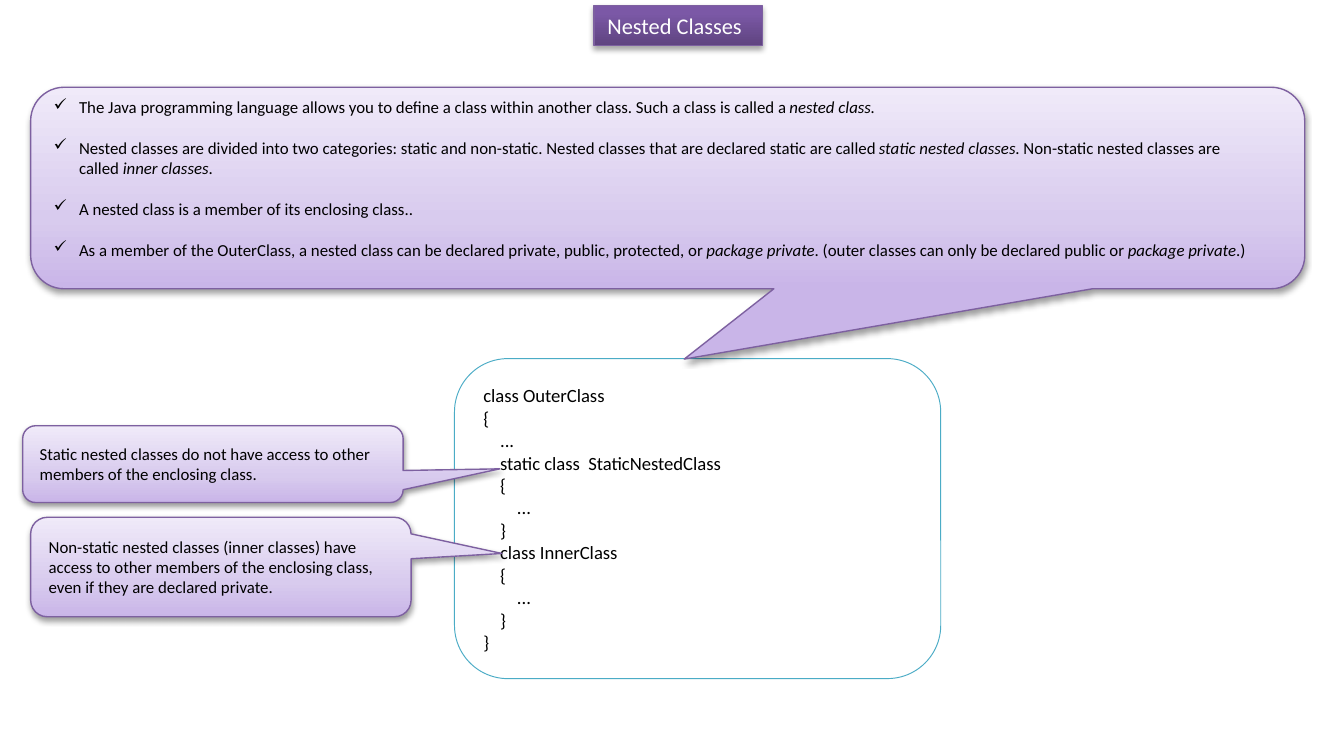
import dataclasses

import lxml.etree
import pptx
import pptx.dml.color
import pptx.enum.shapes
import pptx.enum.text
import pptx.oxml.ns
import pptx.util
from pptx.util import Cm

SHAPES = pptx.enum.shapes.MSO_SHAPE
ANCHOR = pptx.enum.text.MSO_ANCHOR


@dataclasses.dataclass(frozen=True)
class Theme:
    font: str = "Calibri"
    title_size: int = 12
    code_size: int = 10
    note_size: int = 9
    black: str = "000000"
    white: str = "FFFFFF"
    purple: str = "7D60A0"
    teal: str = "4BACC6"
    title_stops: tuple = ((0, "5F4480"), (80, "7B58A6"), (100, "7C57A8"))
    note_stops: tuple = ((0, "C9B5E8"), (35, "D8CBEE"), (100, "F0EAF9"))


THEME = Theme()

POINTS = [
    "The Java programming language allows you to define a class within another class. "
    "Such a class is called a *nested class.*",
    "Nested classes are divided into two categories: static and non-static. Nested classes "
    "that are declared static are called *static nested classes*. Non-static nested classes "
    "are called *inner classes*.",
    "A nested class is a member of its enclosing class..",
    "As a member of the OuterClass, a nested class can be declared private, public, protected, "
    "or *package private*. (outer classes can only be declared public or *package private*.)",
]

CODE = """class OuterClass
{
    ...
    static class  StaticNestedClass
    {
        ...
    }
    class InnerClass
    {
        ...
    }
}"""

CALLOUTS = [
    ((0.58, 9.78, 7.19, 1.88), (0.739, -0.136),
     "Non-static nested classes (inner classes) have access to other members of the "
     "enclosing class, even if they are declared private."),
    ((0.43, 8.05, 7.19, 1.45), (0.754, 0.062),
     "Static nested classes do not have access to other members of the enclosing class."),
]


def rgb(color):
    return pptx.dml.color.RGBColor.from_string(color)


def set_values(target, values):
    for name, value in values.items():
        setattr(target, name, value)


def add_element(parent, tag, **attributes):
    return lxml.etree.SubElement(parent, pptx.oxml.ns.qn(tag), attributes)


def add_box(slide, kind, box, line, width):
    shape = slide.shapes.add_shape(kind, *map(Cm, box))
    shape.shadow.inherit = False
    shape.line.color.rgb = rgb(line)
    shape.line.width = pptx.util.Pt(width)
    return shape


def fill_gradient(shape, stops):
    shape.fill.gradient()
    shape.fill.gradient_angle = 90
    stop_list = shape.element.spPr.find(".//" + pptx.oxml.ns.qn("a:gsLst"))
    stop_list.clear()
    for position, color in stops:
        stop = add_element(stop_list, "a:gs", pos=str(position * 1000))
        add_element(stop, "a:srgbClr", val=color)


def add_shadow(shape, distance, opacity):
    effects = shape.element.spPr.find(pptx.oxml.ns.qn("a:effectLst"))
    shadow = add_element(
        effects, "a:outerShdw", blurRad=str(pptx.util.Pt(3.1)),
        dist=str(pptx.util.Pt(distance)), dir="5400000", rotWithShape="0")
    color = add_element(shadow, "a:srgbClr", val=THEME.black)
    add_element(color, "a:alpha", val=str(opacity * 1000))


def add_bullet(paragraph):
    properties = paragraph._p.get_or_add_pPr()
    indent = Cm(0.48)
    properties.set("marL", str(indent))
    properties.set("indent", str(-indent))
    add_element(properties, "a:buChar", char="✓")


def write_text(shape, lines, size, color=THEME.black, bulleted=False, gap=0, **frame_values):
    frame = shape.text_frame
    set_values(frame, {"word_wrap": True, "vertical_anchor": ANCHOR.MIDDLE, **frame_values})
    for index, line in enumerate(lines):
        paragraph = frame.add_paragraph() if index else frame.paragraphs[0]
        set_values(paragraph, {
            "alignment": pptx.enum.text.PP_ALIGN.LEFT,
            "space_before": pptx.util.Pt(gap if index else 0),
        })
        if bulleted:
            add_bullet(paragraph)
        for part, text in enumerate(line.split("*")):
            if text:
                run = paragraph.add_run()
                run.text = text
                set_values(run.font, {
                    "name": THEME.font,
                    "size": pptx.util.Pt(size),
                    "italic": part % 2 == 1,
                })
                run.font.color.rgb = rgb(color)


def add_title(slide):
    shape = add_box(slide, SHAPES.RECTANGLE, (11.23, 0.1, 3.18, 0.76), THEME.purple, 0.75)
    fill_gradient(shape, THEME.title_stops)
    add_shadow(shape, 1.8, 35)
    write_text(shape, ["Nested Classes"], THEME.title_size, THEME.white)


def add_code(slide):
    shape = add_box(slide, SHAPES.ROUNDED_RECTANGLE, (8.59, 6.78, 9.19, 6.05), THEME.teal, 0.5)
    shape.fill.solid()
    shape.fill.fore_color.rgb = rgb(THEME.white)
    write_text(shape, CODE.splitlines(), THEME.code_size)


def add_callout(slide, box, tip, lines, **text_values):
    shape = add_box(slide, SHAPES.ROUNDED_RECTANGULAR_CALLOUT, box, THEME.purple, 0.75)
    for index, value in enumerate(tip):
        shape.adjustments[index] = value
    fill_gradient(shape, THEME.note_stops)
    add_shadow(shape, 1.6, 38)
    write_text(shape, lines, THEME.note_size, **text_values)


def main():
    presentation = pptx.Presentation()
    set_values(presentation, {"slide_width": Cm(25.4), "slide_height": Cm(13.97)})
    slide = presentation.slides.add_slide(presentation.slide_layouts[6])
    add_title(slide)
    add_code(slide)
    add_callout(slide, (0.58, 1.65, 24.08, 3.81), (0.013, 0.849), POINTS,
                bulleted=True, gap=11, vertical_anchor=ANCHOR.TOP,
                margin_top=0, margin_right=Cm(0.78))
    for box, tip, text in CALLOUTS:
        add_callout(slide, box, tip, [text])
    presentation.save("out.pptx")


if __name__ == "__main__":
    main()
